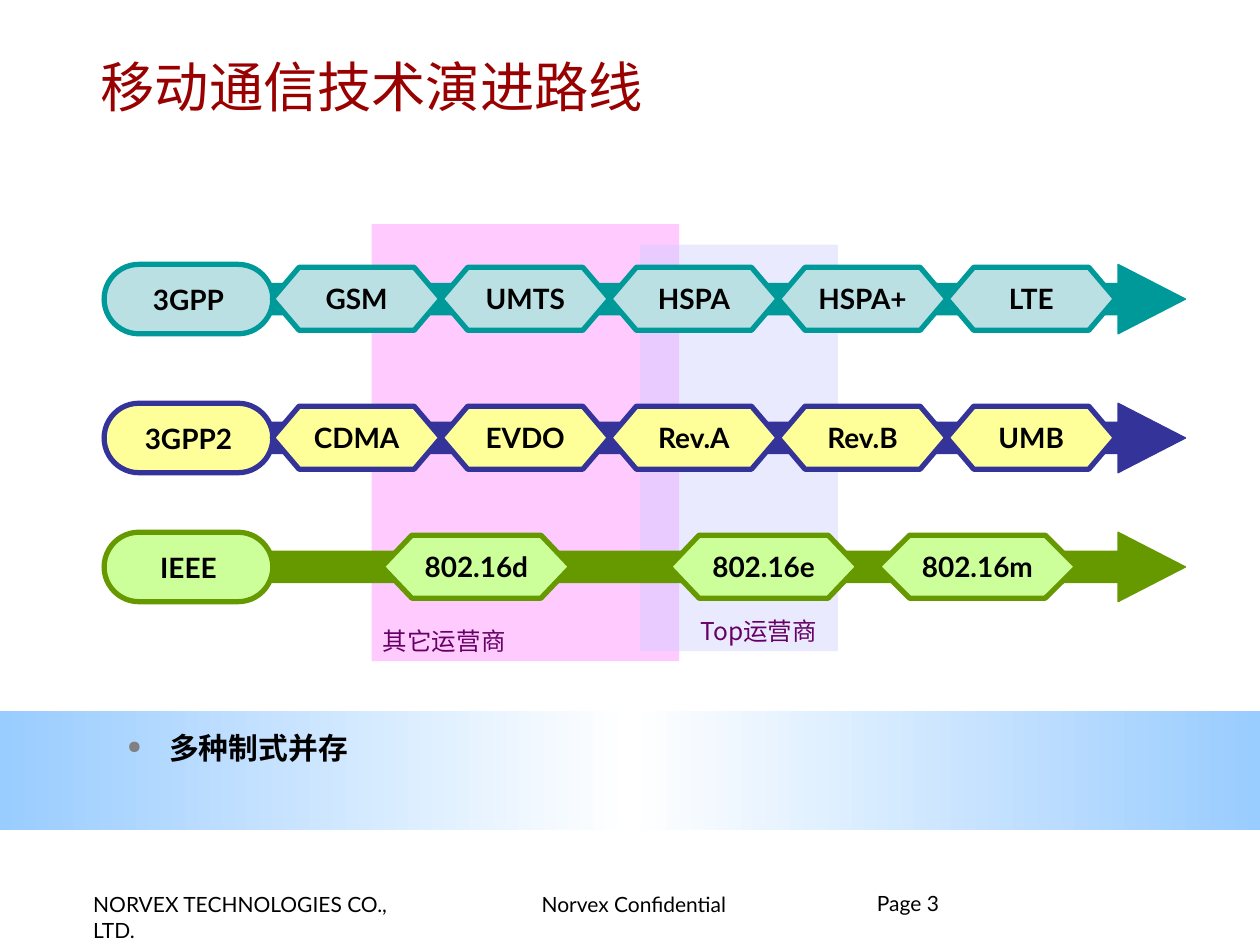
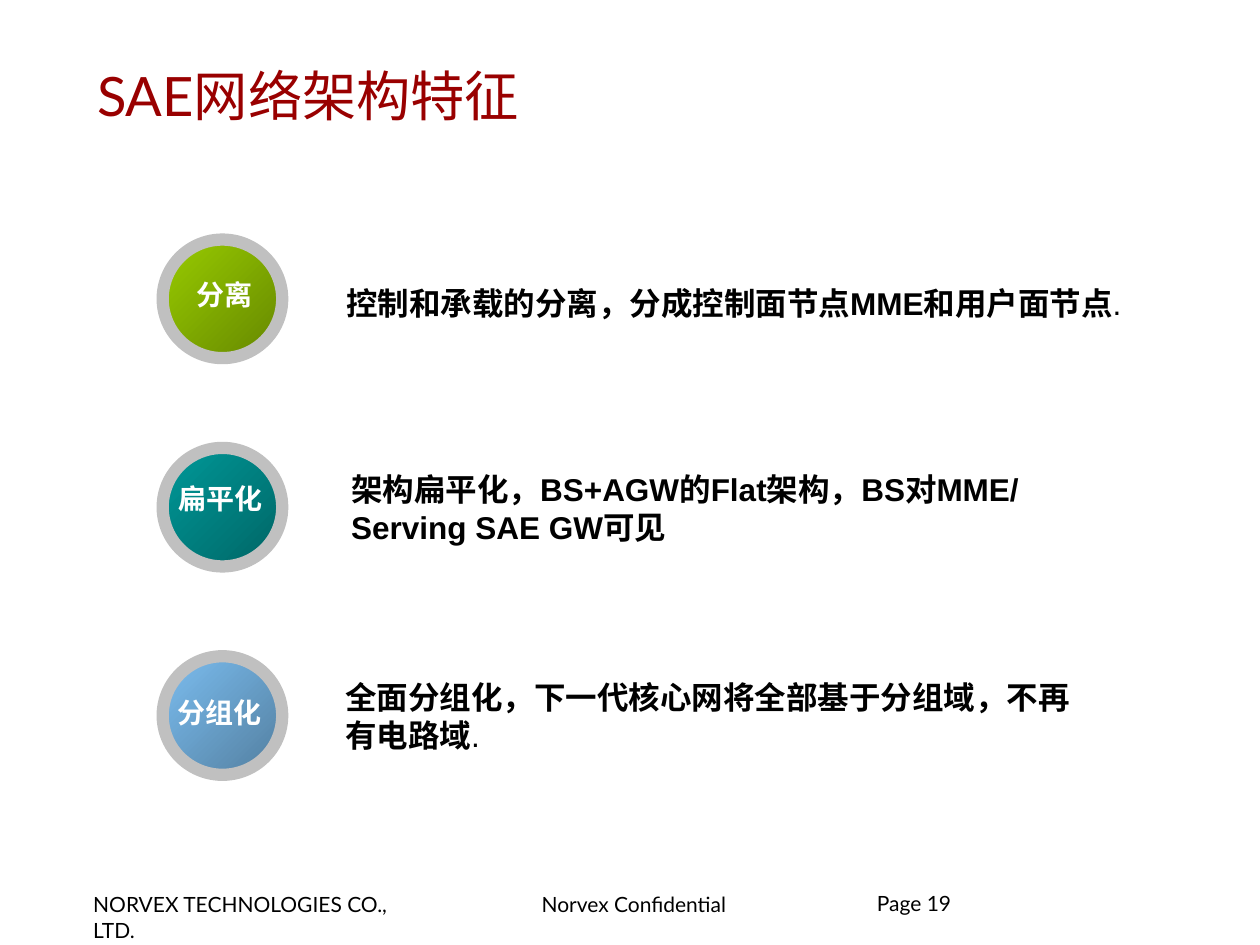
from lxml import etree
from pptx import Presentation
from pptx.dml.color import RGBColor as RGB
from pptx.enum.shapes import MSO_SHAPE as Shape
from pptx.enum.text import MSO_ANCHOR as Anchor, PP_ALIGN as Align
from pptx.oxml.ns import qn
from pptx.util import Cm, Pt

COLORS = {
    "black": "000000", "white": "FFFFFF", "title": "990000", "label": "660066",
    "bullet": "808080", "band": "99CCFF", "pink": "FF99FF", "lilac": "CCCCFF",
    "ring": "C0C0C0", "teal": "009999", "teal_light": "BBE0E3", "teal_dark": "006565",
    "navy": "333399", "yellow": "FFFF99", "olive": "669900", "lime_light": "CCFF99",
    "lime": "99CC00", "lime_dark": "658700", "sky": "7CBEF0", "sky_dark": "527E9F",
}
LATIN, CJK, ARIAL = "Lato", "Noto Sans CJK SC", "Arial"
TIGHT, ROOMY = (0.23, 0.1), (0.25, 0.13)


def rgb(name):
    """Return the named palette colour."""
    return RGB.from_string(COLORS[name])


def add_run(p, text, size, color="black", bold=False, font=LATIN):
    """Append one formatted run to a paragraph."""
    r = p.add_run()
    r.text = text
    r.font.size, r.font.bold, r.font.name = Pt(size), bold, font
    r.font.color.rgb = rgb(color)
    etree.SubElement(r.font._element, qn("a:ea"), typeface=CJK)


def set_frame(sp, inset=TIGHT, anchor=Anchor.TOP, align=Align.LEFT, wrap=True):
    """Set the margins and alignment of a text frame and return its first paragraph."""
    tf = sp.text_frame
    tf.word_wrap, tf.vertical_anchor = wrap, anchor
    tf.margin_left = tf.margin_right = Cm(inset[0])
    tf.margin_top = tf.margin_bottom = Cm(inset[1])
    p = tf.paragraphs[0]
    p.alignment = align
    return p


def add_text(slide, box, **frame):
    """Add a text box and return its first paragraph."""
    return set_frame(slide.shapes.add_textbox(*map(Cm, box)), **frame)


def add_shape(slide, kind, box, fill=None, line=None, width=0.75, adjust=()):
    """Add a preset shape without shadow."""
    sp = slide.shapes.add_shape(kind, *map(Cm, box))
    sp.shadow.inherit = False
    for i, value in enumerate(adjust):
        sp.adjustments[i] = value
    if fill:
        sp.fill.solid()
        sp.fill.fore_color.rgb = rgb(fill)
    if line:
        sp.line.color.rgb = rgb(line)
        sp.line.width = Pt(width)
    else:
        sp.line.fill.background()
    return sp


def set_gradient(sp, names, angle):
    """Fill a shape with evenly spaced gradient stops at a clockwise angle."""
    sp.fill.gradient()
    grad = sp._element.spPr.find(qn("a:gradFill"))
    stops = grad.find(qn("a:gsLst"))
    for stop in list(stops):
        stops.remove(stop)
    for i, name in enumerate(names):
        stop = etree.SubElement(stops, qn("a:gs"), pos=str(100000 * i // (len(names) - 1)))
        etree.SubElement(stop, qn("a:srgbClr"), val=COLORS[name])
    grad.find(qn("a:lin")).set("ang", str(angle * 60000))


def add_base(prs, title, title_box, page):
    """Add a slide with its title and footer."""
    slide = prs.slides.add_slide(prs.slide_layouts[6])
    for text, x in (("NORVEX TECHNOLOGIES CO., LTD.", 1.65), ("Norvex Confidential", 10.69)):
        add_run(add_text(slide, (x, 17.88, 7.3, 0.74), wrap=False), text, 12)
    p = add_text(slide, (17.68, 18.03, 5.82, 1), inset=(0, 0))
    p.line_spacing = 0.85
    add_run(p, f"Page {page}", 12)
    add_run(add_text(slide, title_box, anchor=Anchor.MIDDLE), title, 31, "title")
    return slide


def add_zone(slide, box, color, opacity, label, label_at, font):
    """Add a translucent operator zone with a label placed inside it."""
    sp = add_shape(slide, Shape.RECTANGLE, box, color)
    clr = sp._element.spPr.find(qn("a:solidFill"))[0]
    etree.SubElement(clr, qn("a:alpha"), val=str(opacity * 1000))
    p = add_text(slide, (box[0] + label_at[0], box[1] + label_at[1], 3.2, 0.82))
    add_run(p, label, 14, "label", font=font)


def add_track(slide, x, y, name, line, fill, steps):
    """Add a standard's arrow, name pill and hexagon steps from its top left corner."""
    add_shape(slide, Shape.RIGHT_ARROW, (x + 1.4, y, 20.4, 1.4), line, line,
              adjust=(0.451, 0.972))
    parts = [(Shape.ROUNDED_RECTANGLE, (x, y, 3.4, 1.4), 0.5, name)]
    parts += [(Shape.HEXAGON, (x + dx, y + 0.06, w, 1.27), adj, text)
              for text, dx, w, adj in steps]
    for kind, box, adj, text in parts:
        sp = add_shape(slide, kind, box, fill, line, 3, (adj,))
        p = set_frame(sp, anchor=Anchor.MIDDLE, align=Align.CENTER, wrap=False)
        add_run(p, text, 16, bold=True)


def even_steps(*names):
    """Lay out equal hexagons side by side after the pill."""
    return [(name, 3.39 + 3.4 * i, 3.4, 0.425) for i, name in enumerate(names)]


def add_band(slide, x, y, w, h, text):
    """Add the gradient band with its bullet point."""
    sp = add_shape(slide, Shape.RECTANGLE, (x, y, w, h))
    set_gradient(sp, ("band", "white", "band"), 0)
    p = add_text(slide, (x + 2.34, y, 21.21, 3.15))
    ppr = p._p.get_or_add_pPr()
    ppr.set("marL", str(Cm(0.84)))
    ppr.set("indent", str(-Cm(0.84)))
    clr = etree.SubElement(ppr, qn("a:buClr"))
    etree.SubElement(clr, qn("a:srgbClr"), val=COLORS["bullet"])
    etree.SubElement(ppr, qn("a:buSzPct"), val="60000")
    etree.SubElement(ppr, qn("a:buChar"), char="●")
    p.line_spacing = 1.4
    add_run(p, text, 17, bold=True, font=CJK)


def add_feature(slide, x, y, label, label_at, colors, text_box, text, ending):
    """Add a ringed disc with its label and description."""
    disc = add_shape(slide, Shape.FLOWCHART_CONNECTOR, (x, y, 2.41, 2.39), line="ring", width=7)
    set_gradient(disc, colors, 45)
    dx, dy, w, h = text_box
    p = add_text(slide, (x + dx, y + dy, w, h), inset=ROOMY, anchor=Anchor.MIDDLE)
    add_run(p, text, 18, bold=True, font=ARIAL)
    if ending:
        add_run(p, ending, 18, font=ARIAL)
    p = add_text(slide, (x + label_at[0], y + label_at[1], 2.24, 0.94),
                 inset=ROOMY, align=Align.CENTER, wrap=False)
    add_run(p, label, 16, "white", True, ARIAL)


def build_roadmap(prs):
    """Build the technology roadmap slide."""
    slide = add_base(prs, "移动通信技术演进路线", (1.8, 0.53, 21.51, 2.41), 3)
    add_zone(slide, (7.49, 4.52, 6.2, 8.81), "pink", 50, "其它运营商", (0, 8), LATIN)
    add_zone(slide, (12.9, 4.93, 3.99, 8.2), "lilac", 40, "Top运营商", (0.99, 7.39), CJK)
    add_band(slide, 0, 14.33, 25.4, 2.41, "多种制式并存")
    tracks = (
        (5.33, "3GPP", "teal", "teal_light", even_steps("GSM", "UMTS", "HSPA", "HSPA+", "LTE")),
        (8.13, "3GPP2", "navy", "yellow", even_steps("CDMA", "EVDO", "Rev.A", "Rev.B", "UMB")),
        (10.73, "IEEE", "olive", "lime_light",
         (("802.16d", 5.6, 3.81, 0.475), ("802.16e", 11.39, 3.81, 0.475),
          ("802.16m", 15.6, 4.01, 0.501))),
    )
    for y, *track in tracks:
        add_track(slide, 2.1, y, *track)


def build_features(prs):
    """Build the architecture features slide."""
    slide = add_base(prs, "SAE网络架构特征", (1.73, 0.33, 22.4, 3.18), 19)
    features = (
        ("分离", (0.12, 0.64), ("lime", "lime_dark"), (3.45, -0.05, 16.31, 2.64),
         "控制和承载的分离，分成控制面节点MME和用户面节点", "."),
        ("扁平化", (0.05, 0.55), ("teal", "teal_dark"), (3.55, 0.01, 15.95, 2.39),
         "架构扁平化，BS+AGW的Flat架构，BS对MME/Serving SAE GW可见", ""),
        ("分组化", (0.03, 0.66), ("sky", "sky_dark"), (3.43, -0.02, 15.32, 2.46),
         "全面分组化，下一代核心网将全部基于分组域，不再有电路域", "."),
    )
    for i, feature in enumerate(features):
        add_feature(slide, 3.28, 4.83 + 4.2 * i, *feature)


def main():
    """Build and save the presentation."""
    prs = Presentation()
    prs.slide_width, prs.slide_height = Cm(25.4), Cm(19.05)
    build_roadmap(prs)
    build_features(prs)
    prs.save("out.pptx")


if __name__ == "__main__":
    main()
